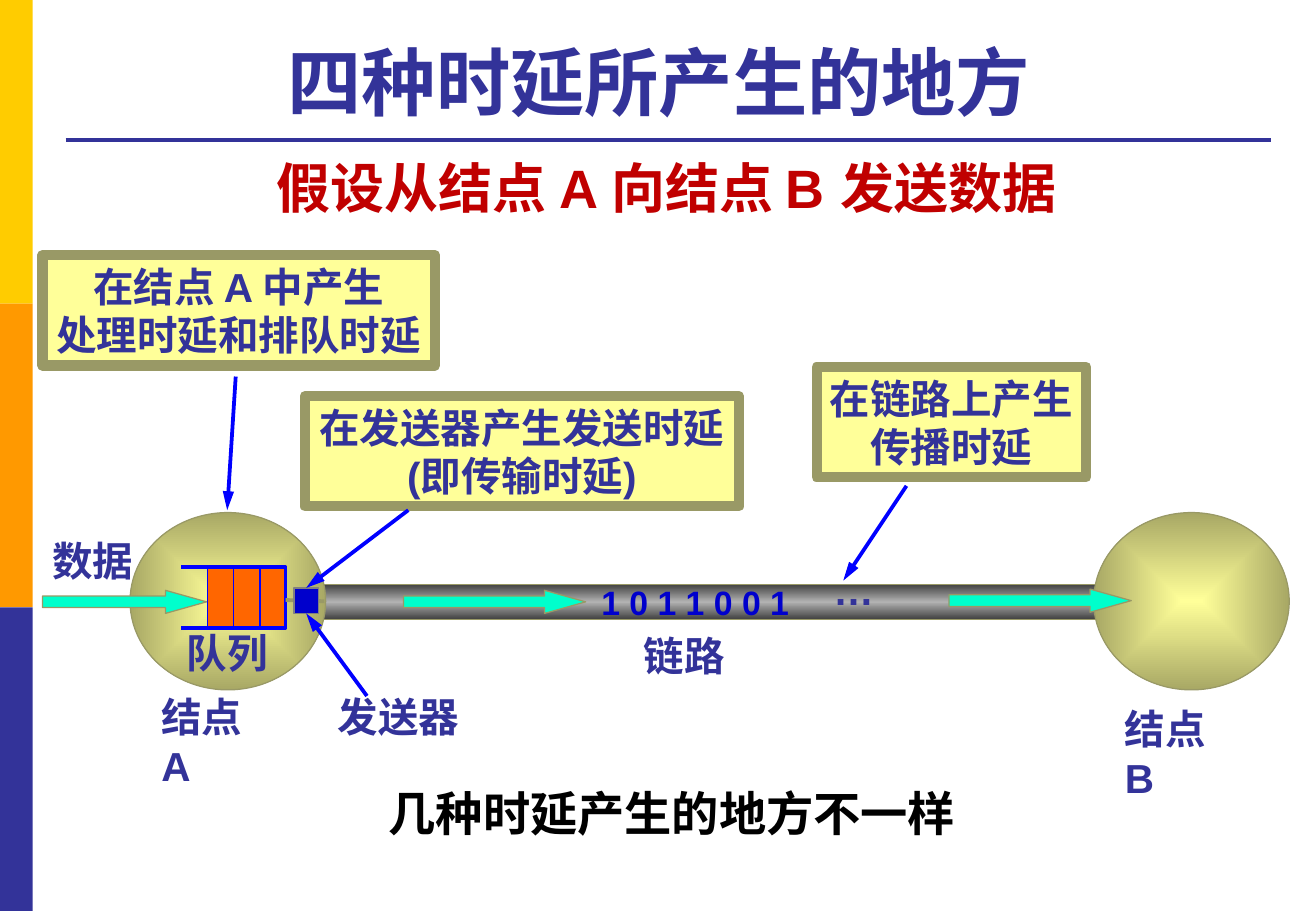
from dataclasses import dataclass

from lxml import etree
from pptx import Presentation
from pptx.dml.color import RGBColor
from pptx.enum.shapes import MSO_CONNECTOR, MSO_SHAPE
from pptx.enum.text import MSO_ANCHOR, PP_ALIGN
from pptx.oxml.ns import qn
from pptx.util import Emu, Pt

RECTANGLE, OVAL, RIGHT_ARROW = MSO_SHAPE.RECTANGLE, MSO_SHAPE.OVAL, MSO_SHAPE.RIGHT_ARROW
STRAIGHT = MSO_CONNECTOR.STRAIGHT
LEFT, CENTER = PP_ALIGN.LEFT, PP_ALIGN.CENTER
TOP, MIDDLE, BOTTOM = MSO_ANCHOR.TOP, MSO_ANCHOR.MIDDLE, MSO_ANCHOR.BOTTOM
TOP_SIDE, BOTTOM_SIDE = 0, 2
EMU_PER_PX = 9144  # 100 px to the inch


@dataclass(frozen=True)
class Theme:
    font: str = "Arial"
    navy: str = "333399"
    gold: str = "FFCC00"
    amber: str = "FF9900"
    red: str = "C00000"
    black: str = "000000"
    blue: str = "0000FF"
    sender: str = "0000CC"
    gray: str = "808080"
    olive: str = "999966"
    cream: str = "FFFF99"
    node_edge: str = "A8A865"
    pipe_edge: str = "404040"
    pipe_core: str = "B2B2B2"
    queue: str = "FF6600"
    mint: str = "00FFCC"
    title_size: int = 44
    subtitle_size: int = 32
    summary_size: int = 28
    label_size: int = 24
    bits_size: int = 20
    gap_size: int = 16
    thin: float = 0.75
    thick: float = 2.25
    frame: float = 6


def px(value):
    return Emu(value * EMU_PER_PX)


class Diagram:
    def __init__(self, slide, theme):
        self.slide = slide
        self.theme = theme

    def paint_line(self, line, color, width):
        line.color.rgb = RGBColor.from_string(color)
        line.width = Pt(width)

    def format_run(self, run, size, color):
        font = run.font
        font.name, font.size, font.bold = self.theme.font, Pt(size), True
        font.color.rgb = RGBColor.from_string(color)

    def set_text(self, shape, text, size, color, align, anchor, wrap):
        frame = shape.text_frame
        frame.text = text
        frame.word_wrap = wrap
        frame.vertical_anchor = anchor
        for paragraph in frame.paragraphs:
            paragraph.alignment = align
            for run in paragraph.runs:
                self.format_run(run, size, color)

    def text(self, box, text, size=None, color=None, align=LEFT, anchor=TOP, wrap=False):
        shape = self.slide.shapes.add_textbox(*map(px, box))
        self.set_text(shape, text, size or self.theme.label_size,
                      color or self.theme.navy, align, anchor, wrap)
        return shape

    def node_label(self, box, letter):
        shape = self.text(box, "结点", wrap=True)
        paragraph = shape.text_frame.paragraphs[0]
        for text, size in ((" ", self.theme.gap_size), (letter, self.theme.label_size)):
            run = paragraph.add_run()
            run.text = text
            self.format_run(run, size, self.theme.navy)

    def shape(self, kind, box, fill, line=None, width=None):
        shape = self.slide.shapes.add_shape(kind, *map(px, box))
        shape.shadow.inherit = False
        shape.fill.solid()
        shape.fill.fore_color.rgb = RGBColor.from_string(fill)
        if line:
            self.paint_line(shape.line, line, width or self.theme.thin)
        else:
            shape.line.fill.background()
        return shape

    def gradient(self, shape, stops, radial):
        """Replace the solid fill with a vertical or centred gradient."""
        solid = shape._element.spPr.find(qn("a:solidFill"))
        fill = etree.Element(qn("a:gradFill"), rotWithShape="1")
        stop_list = etree.SubElement(fill, qn("a:gsLst"))
        for position, color in stops:
            stop = etree.SubElement(stop_list, qn("a:gs"), pos=str(position * 1000))
            etree.SubElement(stop, qn("a:srgbClr"), val=color)
        if radial:
            center = etree.SubElement(fill, qn("a:path"), path="shape")
            etree.SubElement(center, qn("a:fillToRect"),
                             l="50000", t="50000", r="50000", b="50000")
        else:
            etree.SubElement(fill, qn("a:lin"), ang="5400000", scaled="1")
        solid.getparent().replace(solid, fill)

    def node(self, left):
        shape = self.shape(OVAL, (left, 422, 161, 146), self.theme.cream, self.theme.olive)
        self.gradient(shape, ((0, self.theme.cream), (100, self.theme.node_edge)), True)

    def link(self, box):
        edge, core = self.theme.pipe_edge, self.theme.pipe_core
        shape = self.shape(RECTANGLE, box, edge, self.theme.olive)
        self.gradient(shape, ((0, edge), (50, core), (100, edge)), False)

    def flow_arrow(self, left, top, width):
        shape = self.shape(RIGHT_ARROW, (left, top, width, 19),
                           self.theme.mint, self.theme.olive)
        shape.adjustments[0], shape.adjustments[1] = 0.5, 1.78

    def callout(self, box, text):
        shape = self.shape(RECTANGLE, box, self.theme.cream, self.theme.olive, self.theme.frame)
        self.set_text(shape, text, self.theme.label_size, self.theme.navy, CENTER, MIDDLE, False)

    def line(self, start, end, color, width):
        connector = self.slide.shapes.add_connector(STRAIGHT, *map(px, start + end))
        self.paint_line(connector.line, color, width)
        etree.SubElement(connector._element.spPr, qn("a:effectLst"))
        return connector

    def pointer(self, start, end, target=None, side=TOP_SIDE):
        connector = self.line(start, end, self.theme.blue, self.theme.thick)
        outline = connector._element.spPr.find(qn("a:ln"))
        etree.SubElement(outline, qn("a:tailEnd"), type="triangle", w="med", len="lg")
        if target is not None:
            connector.end_connect(target, side)

    def queue(self, left, top, right, bottom, cells_left):
        """Draw the open-ended tray with three waiting cells."""
        theme = self.theme
        cells_width = right - cells_left
        self.shape(RECTANGLE, (cells_left, top, cells_width, bottom - top),
                   theme.queue, theme.blue)
        builder = self.slide.shapes.build_freeform(left, top, scale=EMU_PER_PX)
        builder.add_line_segments(((right, top), (right, bottom), (left, bottom)), close=False)
        tray = builder.convert_to_shape()
        tray.shadow.inherit = False
        tray.fill.background()
        self.paint_line(tray.line, theme.blue, theme.thick)
        for index in range(3):
            x = cells_left + round(index * cells_width / 3)
            self.line((x, top), (x, bottom), theme.blue, theme.thin)


def main():
    theme = Theme()
    presentation = Presentation()
    presentation.slide_width, presentation.slide_height = px(1083), px(750)
    slide = presentation.slides.add_slide(presentation.slide_layouts[6])
    diagram = Diagram(slide, theme)

    for index, color in enumerate((theme.gold, theme.amber, theme.navy)):
        diagram.shape(RECTANGLE, (0, index * 250, 27, 250), color)
    diagram.line((54, 115), (1046, 115), theme.navy, theme.thick)
    diagram.text((54, 21, 991, 87), "四种时延所产生的地方 ", theme.title_size,
                 align=CENTER, anchor=BOTTOM, wrap=True)

    diagram.link((257, 481, 654, 29))
    for left in (107, 900):
        diagram.node(left)
    diagram.queue(149, 467, 235, 517, cells_left=171)
    diagram.line((235, 494), (267, 495), theme.olive, theme.thick)
    sender = diagram.shape(RECTANGLE, (242, 484, 20, 21), theme.sender, theme.gray)
    for left, top, width in ((332, 486, 150), (35, 486, 135), (781, 485, 150)):
        diagram.flow_arrow(left, top, width)

    diagram.text((485, 474, 176, 44), "1 0 1 1 0 0 1", theme.bits_size, theme.sender)
    for left, top, width, label in (
        (676, 460, 54, "…"),
        (268, 565, 121, "发送器"),
        (144, 512, 88, "队列"),
        (33, 436, 88, "数据"),
        (520, 515, 88, "链路"),
    ):
        diagram.text((left, top, width, 50), label)
    diagram.node_label((123, 565, 100, 90), "A")
    diagram.node_label((916, 575, 100, 90), "B")

    diagram.callout((672, 302, 222, 91), "在链路上产生\n传播时延")
    diagram.callout((251, 326, 357, 91), "在发送器产生发送时延\n(即传输时延)")
    diagram.callout((35, 210, 323, 91), "在结点 A 中产生\n处理时延和排队时延")
    diagram.pointer((746, 400), (694, 478))
    diagram.pointer((336, 420), (252, 484), sender, TOP_SIDE)
    diagram.pointer((302, 573), (252, 505), sender, BOTTOM_SIDE)
    diagram.pointer((194, 310), (187, 420))

    diagram.text((149, 122, 799, 64), "假设从结点 A 向结点 B 发送数据",
                 theme.subtitle_size, theme.red, CENTER, wrap=True)
    diagram.text((305, 641, 496, 57), "几种时延产生的地方不一样",
                 theme.summary_size, theme.black, CENTER, wrap=True)
    presentation.save("out.pptx")


if __name__ == "__main__":
    main()
